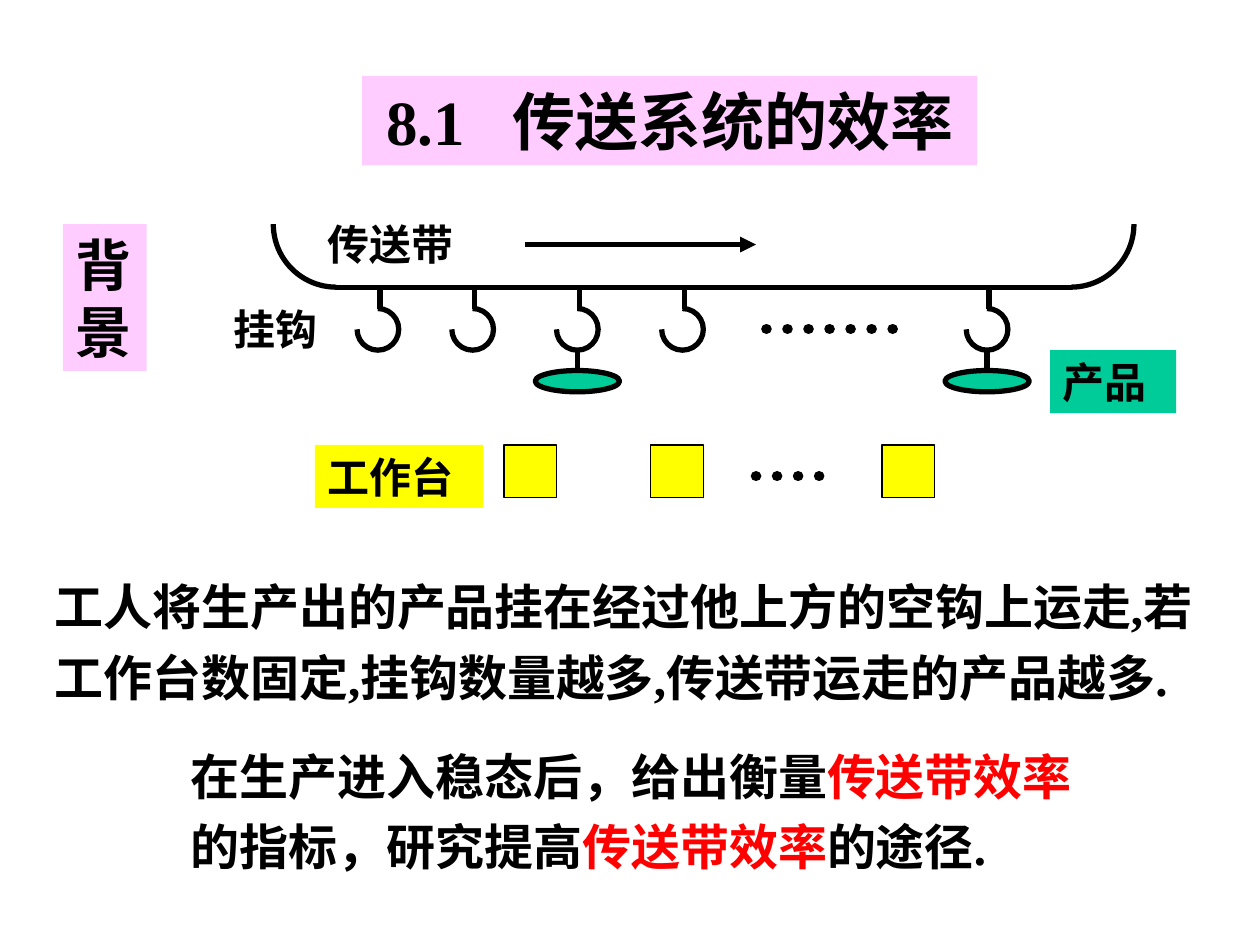
from lxml import etree
from pptx import Presentation
from pptx.dml.color import RGBColor
from pptx.enum import dml, shapes, text
from pptx.oxml import ns
from pptx.util import Cm, Pt

BLACK = RGBColor(0, 0, 0)
RED = RGBColor(255, 0, 0)
PINK = RGBColor(255, 204, 255)
GREEN = RGBColor(0, 204, 153)
YELLOW = RGBColor(255, 255, 0)
FONT = "Times New Roman"
BELT = 5.79
RING = 0.42


def add_text(slide, box, runs, size=24, fill=None, align=None, lead=None):
    shape = slide.shapes.add_textbox(*map(Cm, box))
    frame = shape.text_frame
    frame.word_wrap = True
    frame.vertical_anchor = text.MSO_ANCHOR.TOP
    if fill is not None:
        shape.fill.solid()
        shape.fill.fore_color.rgb = fill
    para = frame.paragraphs[0]
    para.alignment = align
    para.line_spacing = lead
    for words, color in runs:
        run = para.add_run()
        run.text = words
        font = run.font
        font.name, font.size, font.bold = FONT, Pt(size), True
        font.color.rgb = color


def add_shape(slide, kind, box, fill=None, width=3):
    shape = slide.shapes.add_shape(kind, *map(Cm, box))
    shape.shadow.inherit = False
    if fill is None:
        shape.fill.background()
    else:
        shape.fill.solid()
        shape.fill.fore_color.rgb = fill
    shape.line.color.rgb = BLACK
    shape.line.width = Pt(width)
    return shape


def add_arc(slide, x, y, radius, start, end):
    box = x - radius, y - radius, 2 * radius, 2 * radius
    arc = add_shape(slide, shapes.MSO_SHAPE.ARC, box)
    for i, angle in enumerate((start, end)):
        arc.adjustments[i] = angle * 0.6


def add_line(slide, x1, y1, x2, y2, width=3):
    line = slide.shapes.add_connector(
        shapes.MSO_CONNECTOR.STRAIGHT, *map(Cm, (x1, y1, x2, y2)))
    line.line.color.rgb = BLACK
    line.line.width = Pt(width)
    etree.SubElement(line._element.spPr, ns.qn("a:effectLst"))
    return line


def add_dots(slide, x1, x2, y):
    line = add_line(slide, x1, y, x2, y, 6).line
    line.dash_style = dml.MSO_LINE.ROUND_DOT
    line._get_or_add_ln().set("cap", "rnd")


def add_arrow(slide, x1, x2, y):
    ln = add_line(slide, x1, y, x2, y).line._get_or_add_ln()
    etree.SubElement(ln, ns.qn("a:tailEnd"), type="triangle")


def add_hook(slide, x, loaded):
    top = BELT + 0.43
    add_line(slide, x + 0.04, top, x + 0.04, BELT)
    add_arc(slide, x, top + RING, RING, 270, 180)
    if loaded:
        low = top + 2 * RING
        item = add_shape(slide, shapes.MSO_SHAPE.OVAL,
                         (x - 0.85, low + 0.41, 1.7, 0.43), GREEN)
        add_line(slide, x, low, x, low + 0.41).end_connect(item, 0)


def add_belt(slide):
    left, right, bend = 6.78, 21.59, 1.27
    add_line(slide, left, BELT, right, BELT)
    add_arc(slide, left, BELT - bend, bend, 90, 180)
    add_arc(slide, right, BELT - bend, bend, 0, 90)
    add_arrow(slide, 10.58, 15.24, 4.93)
    for x, loaded in ((7.62, False), (9.53, False), (11.64, True),
                      (13.76, False), (19.9, True)):
        add_hook(slide, x, loaded)
    add_dots(slide, 15.45, 18.2, 6.63)


def add_desks(slide):
    for x in (10.16, 13.12, 17.78):
        add_shape(slide, shapes.MSO_SHAPE.RECTANGLE,
                  (x, 8.97, 1.06, 1.06), YELLOW, 0.75)
    add_dots(slide, 15.24, 16.72, 9.6)


def main():
    deck = Presentation()
    deck.slide_width, deck.slide_height = Cm(25.4), Cm(19.05)
    slide = deck.slides.add_slide(deck.slide_layouts[6])
    add_belt(slide)
    add_desks(slide)
    for words, box, fill in (
            ("传送带", (6.35, 4.29, 3.39, 1.27), None),
            ("挂钩", (4.45, 6, 2.33, 1.27), None),
            ("产品", (21.17, 7.06, 2.54, 1.27), GREEN),
            ("工作台", (6.35, 8.97, 3.39, 1.27), YELLOW)):
        add_text(slide, box, [(words, BLACK)], fill=fill)
    add_text(slide, (0.85, 11.27, 23.85, 3.1),
             [("工人将生产出的产品挂在经过他上方的空钩上运走,若工作台数固定,"
               "挂钩数量越多,传送带运走的产品越多.", BLACK)], size=28, lead=1.2)
    add_text(slide, (1.27, 4.52, 1.69, 2.96), [("背景", BLACK)],
             size=32, fill=PINK)
    add_text(slide, (3.6, 14.68, 18.85, 3.1),
             [("在生产进入稳态后，给出衡量", BLACK), ("传送带效率", RED),
              ("的指标，研究提高", BLACK), ("传送带效率", RED),
              ("的途径.", BLACK)], size=28, lead=1.2)
    add_text(slide, (7.3, 1.53, 12.4, 1.8), [("8.1\t传送系统的效率", BLACK)],
             size=36, fill=PINK, align=text.PP_ALIGN.CENTER)
    deck.save("out.pptx")


if __name__ == "__main__":
    main()
